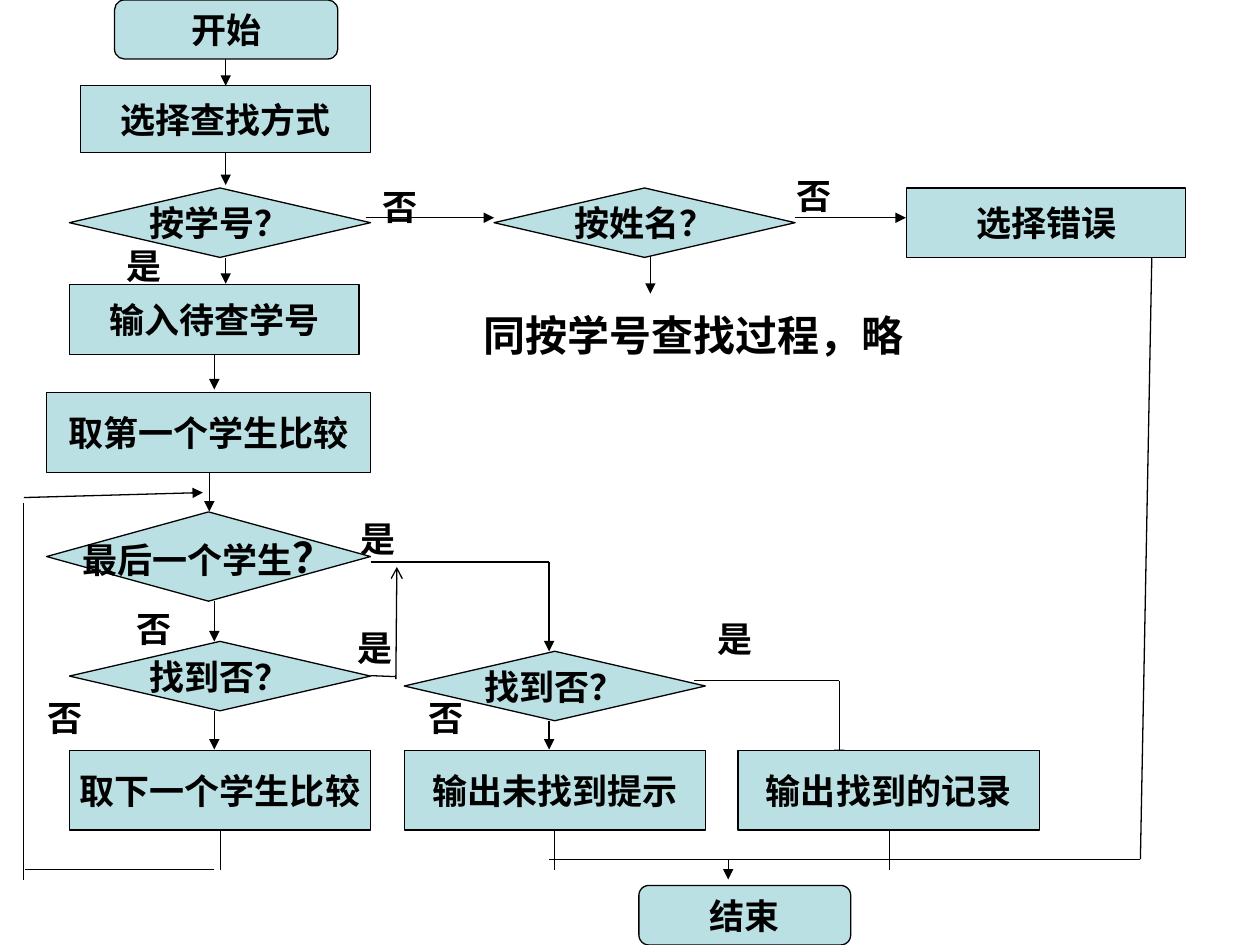
from lxml import etree
from pptx import Presentation
from pptx.dml.color import RGBColor
from pptx.enum.shapes import MSO_CONNECTOR, MSO_SHAPE
from pptx.enum.text import MSO_ANCHOR, MSO_AUTO_SIZE, PP_ALIGN
from pptx.oxml.ns import qn
from pptx.util import Cm, Pt

TERMINAL = MSO_SHAPE.FLOWCHART_ALTERNATE_PROCESS
PROCESS = MSO_SHAPE.FLOWCHART_PROCESS
DECISION = MSO_SHAPE.FLOWCHART_DECISION
STRAIGHT = MSO_CONNECTOR.STRAIGHT
MIDDLE = MSO_ANCHOR.MIDDLE
CENTER = PP_ALIGN.CENTER
GROW = MSO_AUTO_SIZE.SHAPE_TO_FIT_TEXT

FONT = "Noto Sans CJK SC"
COLORS = {"fill": "BBE0E3", "ink": "000000"}
INK = RGBColor.from_string(COLORS["ink"])
FILL = RGBColor.from_string(COLORS["fill"])


def add_run(paragraph, words, size):
    run = paragraph.add_run()
    run.text = words
    run.font.size = Pt(size)
    run.font.bold = True
    run.font.color.rgb = INK
    run.font.name = FONT
    etree.SubElement(run.font._element, qn("a:ea")).set("typeface", FONT)


def add_line(x1, y1, x2, y2, head=None):
    line = slide.shapes.add_connector(STRAIGHT, Cm(x1), Cm(y1), Cm(x2), Cm(y2))
    line.line.color.rgb = INK
    line.line.width = Pt(0.75)
    if head:
        outline = line.line._get_or_add_ln()
        etree.SubElement(outline, qn("a:tailEnd")).set("type", head)
    etree.SubElement(line._element.spPr, qn("a:effectLst"))


prs = Presentation()
prs.slide_width = Cm(25.4)
prs.slide_height = Cm(19.05)
slide = prs.slides.add_slide(prs.slide_layouts[6])

arrows = [
    (4.55, 1.19, 4.55, 1.73),
    (4.55, 3.05, 4.55, 3.73),
    (4.55, 5.2, 4.55, 5.72),
    (7.37, 4.39, 9.96, 4.39),
    (16.03, 4.39, 18.26, 4.39),
    (13.11, 5.13, 13.11, 5.92),
    (4.32, 7.14, 4.32, 7.85),
    (4.22, 9.53, 4.22, 10.31),
    (4.32, 12.12, 4.32, 12.93),
    (4.32, 14.33, 4.32, 15.11),
    (0.48, 10.03, 4.09, 9.93),
    (11.07, 11.33, 11.07, 13.13),
    (11.07, 14.53, 11.07, 15.11),
    (16.92, 13.72, 16.92, 15.32),
    (14.68, 17.32, 14.68, 17.73),
]
for arrow in arrows:
    add_line(*arrow, "triangle")

for exit_x in (4.45, 11.18, 17.93):
    add_line(exit_x, 16.73, exit_x, 17.53)

plain_lines = [
    (4.32, 17.53, 0.5, 17.53),
    (0.48, 17.73, 0.48, 10.13),
    (7.47, 11.33, 11.07, 11.33),
    (14, 13.72, 16.92, 13.72),
    (11.07, 17.32, 18.03, 17.32),
    (23.22, 5.13, 22.99, 17.32),
    (22.99, 17.32, 17.83, 17.32),
    (7.47, 13.62, 7.98, 13.64),
]
for plain_line in plain_lines:
    add_line(*plain_line)
add_line(7.98, 13.69, 8, 11.43, "arrow")

steps = [
    (TERMINAL, 2.31, 0, 4.5, 1.19, "开始"),
    (PROCESS, 1.63, 1.73, 5.84, 1.34, "选择查找方式"),
    (DECISION, 1.4, 3.79, 6.07, 1.4, "按学号？"),
    (DECISION, 9.96, 3.79, 6.07, 1.4, "按姓名？"),
    (PROCESS, 18.28, 3.79, 5.62, 1.4, "选择错误"),
    (PROCESS, 1.4, 5.73, 5.84, 1.42, "输入待查学号"),
    (PROCESS, 0.94, 7.92, 6.53, 1.6, "取第一个学生比较"),
    (DECISION, 0.94, 10.32, 6.53, 1.8, "最后一个学生"),
    (DECISION, 1.4, 12.93, 6.07, 1.4, "找到否？"),
    (DECISION, 8.15, 13.13, 6.07, 1.4, "找到否？"),
    (PROCESS, 1.4, 15.13, 6.07, 1.6, "取下一个学生比较"),
    (PROCESS, 8.15, 15.13, 6.07, 1.6, "输出未找到提示"),
    (PROCESS, 14.88, 15.13, 6.07, 1.6, "输出找到的记录"),
    (TERMINAL, 12.88, 17.85, 4.27, 1.2, "结束"),
]
for kind, left, top, width, height, words in steps:
    step = slide.shapes.add_shape(kind, Cm(left), Cm(top), Cm(width), Cm(height))
    step.shadow.inherit = False
    step.fill.solid()
    step.fill.fore_color.rgb = FILL
    step.line.color.rgb = INK
    step.line.width = Pt(0.75)
    step.text_frame.word_wrap = False
    step.text_frame.vertical_anchor = MIDDLE
    caption = step.text_frame.paragraphs[0]
    caption.alignment = CENTER
    add_run(caption, words, 20)
    if words == "最后一个学生":
        add_run(caption, "？", 24)

answers = [
    (7.47, 3.61, 2.46, 1.12, "否", 20),
    (15.8, 3.4, 2.46, 1.12, "否", 20),
    (2.31, 4.8, 2.03, 1.12, "是", 20),
    (9.5, 6.12, 10.57, 1.27, "同按学号查找过程，略", 24),
    (7.01, 10.31, 2.03, 1.12, "是", 20),
    (2.51, 12.12, 2.46, 1.12, "否", 20),
    (14.22, 12.32, 2.03, 1.12, "是", 20),
    (6.96, 12.5, 2.03, 1.12, "是", 20),
    (0.71, 13.92, 2.46, 1.12, "否", 20),
    (8.38, 13.92, 1.8, 1.12, "否", 20),
]
for left, top, width, height, words, size in answers:
    answer = slide.shapes.add_textbox(Cm(left), Cm(top), Cm(width), Cm(height))
    answer.text_frame.word_wrap = True
    answer.text_frame.auto_size = GROW
    wording = answer.text_frame.paragraphs[0]
    wording.space_before = Pt(size * 0.625)
    add_run(wording, words, size)

prs.save("out.pptx")
